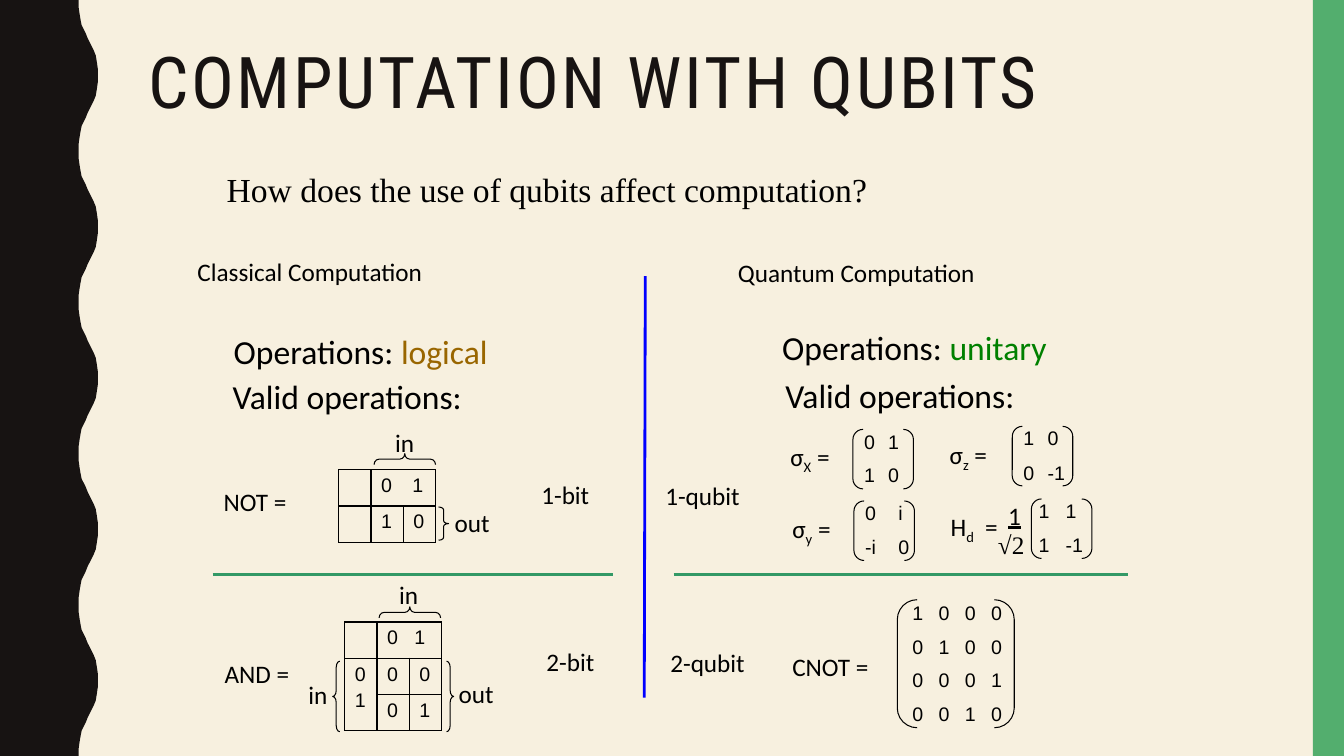
from dataclasses import dataclass

from lxml.etree import SubElement
from pptx import Presentation
from pptx.dml.color import RGBColor
from pptx.enum.shapes import MSO_CONNECTOR, MSO_SHAPE as Preset
from pptx.enum.text import MSO_AUTO_SIZE as AutoSize
from pptx.oxml.ns import qn
from pptx.oxml.xmlchemy import OxmlElement
from pptx.util import Pt

PX = 9144
WIDTH, HEIGHT = 1333, 750
CREAM = RGBColor(0xF7, 0xF0, 0xDF)
INK = RGBColor(0x17, 0x13, 0x12)
LEAF = RGBColor(0x53, 0xAE, 0x6E)
BLACK = RGBColor(0, 0, 0)
BROWN = RGBColor(0x99, 0x66, 0)
GREEN = RGBColor(0, 0x80, 0)
TEAL = RGBColor(0x33, 0x99, 0x66)
BLUE = RGBColor(0, 0, 0xFF)
SERIF = "Times New Roman"
WAVE_PERIOD = 150
WAVE_RISE = ((78, 0), (78, 7), (79, 14), (80, 20), (81, 25), (83, 29), (85, 33), (87, 38),
             (89, 42), (91, 46), (93, 50), (95, 55), (96, 61), (97, 68))


@dataclass(frozen=True)
class Piece:
    text: str
    color: RGBColor = BLACK
    baseline: int = 0
    spacing: float = 0
    underline: bool = False


@dataclass(frozen=True)
class Label:
    left: int
    top: int
    width: int
    height: int
    pieces: tuple[Piece, ...]
    size: int = 18
    font: str = "Calibri"


@dataclass(frozen=True)
class Grid:
    left: int
    top: int
    columns: tuple[int, ...]
    rows: tuple[int, ...]
    values: tuple[tuple[str, ...], ...]
    ruled: bool = False
    merges: tuple[tuple[int, int, int, int], ...] = ()
    tab: int = 0


@dataclass(frozen=True)
class Mark:
    preset: Preset
    left: int
    top: int
    width: int
    height: int
    bend: float
    rotation: int = 0


@dataclass(frozen=True)
class Rule:
    start: tuple[int, int]
    end: tuple[int, int]
    color: RGBColor


def plain(text: str, **style) -> tuple[Piece, ...]:
    """Return a text as a single piece."""
    return (Piece(text, **style),)


def symbol(letter: str, index: str, spacing: float = 0) -> tuple[Piece, ...]:
    """Return a letter with a subscript and an equals sign."""
    return Piece(letter), Piece(index, baseline=-25000), Piece(" =", spacing=spacing)


LABELS = (
    Label(215, 163, 656, 50, plain("How does the use of qubits affect computation?"), 24, SERIF),
    Label(186, 249, 250, 40, plain("Classical Computation")),
    Label(222, 323, 273, 50, (Piece("Operations: "), Piece("logical", BROWN)), 24),
    Label(221, 368, 248, 50, plain("Valid operations:"), 24),
    Label(212, 478, 96, 40, plain("NOT =")),
    Label(213, 648, 97, 40, plain("AND =")),
    Label(382, 419, 41, 40, plain("in")),
    Label(441, 498, 55, 40, plain("out")),
    Label(386, 570, 40, 40, plain("in")),
    Label(296, 669, 40, 40, plain("in")),
    Label(445, 668, 55, 40, plain("out")),
    Label(527, 471, 69, 40, plain("1-bit")),
    Label(532, 636, 69, 40, plain("2-bit")),
    Label(722, 250, 261, 40, plain("Quantum Computation")),
    Label(766, 319, 285, 51, (Piece("Operations: "), Piece("unitary", GREEN)), 24),
    Label(769, 367, 248, 51, plain("Valid operations:"), 24),
    Label(774, 433, 75, 40, symbol("σ", "X")),
    Label(776, 504, 72, 40, symbol("σ", "y")),
    Label(932, 431, 72, 40, symbol("σ", "z")),
    Label(933, 502, 76, 40, symbol("H", "d", spacing=4)),
    Label(980, 520, 46, 40, plain("√2"), font=SERIF),
    Label(990, 491, 34, 40, plain("1", underline=True)),
    Label(776, 641, 114, 40, plain("CNOT =")),
    Label(650, 472, 97, 40, plain("1-qubit")),
    Label(655, 637, 97, 40, plain("2-qubit")),
)

GRIDS = (
    Grid(336, 466, (32,) * 3, (36,) * 2, (("", "0\t1", ""), ("", "1", "0")),
         True, ((0, 1, 0, 2),), 31),
    Grid(342, 617, (32,) * 3, (36,) * 3, (("", "0\t1", ""), ("0\n1", "0", "0"), ("", "0", "1")),
         True, ((0, 1, 0, 2), (1, 0, 2, 0)), 27),
    Grid(847, 423, (23, 31), (33, 33), (("0", "1"), ("1", "0"))),
    Grid(848, 494, (33, 33), (33, 33), (("0", "i"), ("-i", "0"))),
    Grid(1005, 419, (23, 48), (35, 54), (("1", "0"), ("0", "-1"))),
    Grid(1020, 492, (27, 65), (33, 33), (("1", "1"), ("1", "-1"))),
    Grid(895, 593, (26, 26, 26, 31), (33,) * 4,
         tuple(tuple("1" if c == one else "0" for c in range(4)) for one in (0, 1, 3, 2))),
)

MARKS = (
    Mark(Preset.RIGHT_BRACE, 435, 503, 10, 33, 0.28),
    Mark(Preset.RIGHT_BRACE, 443, 656, 7, 70, 0.86),
    Mark(Preset.LEFT_BRACE, 330, 656, 7, 70, 0.86),
    Mark(Preset.RIGHT_BRACE, 396, 425, 11, 61, 0.45, 270),
    Mark(Preset.RIGHT_BRACE, 401, 577, 11, 61, 0.45, 270),
    *(Mark(Preset.DOUBLE_BRACKET, left, top, 60, 59, 0.17)
      for left, top in ((846, 426), (847, 497), (1004, 423), (1023, 495))),
    Mark(Preset.DOUBLE_BRACKET, 890, 595, 116, 127, 0.17),
)

RULES = (
    Rule((211, 570), (608, 570), TEAL),
    Rule((640, 274), (639, 692), BLUE),
    Rule((668, 570), (1119, 570), TEAL),
)


def write(paragraph, text: str, *, size: float, font: str, color: RGBColor = BLACK,
          baseline: int = 0, spacing: float = 0, underline: bool = False) -> None:
    """Append a formatted run to a paragraph."""
    run = paragraph.add_run()
    run.text = text
    run.font.size, run.font.name = Pt(size), font
    run.font.color.rgb = color
    if underline:
        run.font.underline = True
    for key, value in (("baseline", baseline), ("spc", int(spacing * 100))):
        if value:
            run.font._element.set(key, str(value))


def draw_label(slide, label: Label) -> None:
    """Draw one unwrapped line of text."""
    box = slide.shapes.add_textbox(*(v * PX for v in (label.left, label.top, label.width, label.height)))
    frame = box.text_frame
    frame.word_wrap, frame.auto_size = False, AutoSize.SHAPE_TO_FIT_TEXT
    for piece in label.pieces:
        write(frame.paragraphs[0], piece.text, size=label.size, font=label.font, color=piece.color,
              baseline=piece.baseline, spacing=piece.spacing, underline=piece.underline)


def set_borders(cell, ruled: bool) -> None:
    """Give a cell thin black borders, or none."""
    properties = cell._tc.get_or_add_tcPr()
    for position, side in enumerate("LRTB"):
        border = OxmlElement(f"a:ln{side}")
        border.set("w", str(Pt(1)))
        if ruled:
            SubElement(SubElement(border, qn("a:solidFill")), qn("a:srgbClr"), val=str(BLACK))
        else:
            SubElement(border, qn("a:noFill"))
        properties.insert(position, border)


def fill_cell(cell, text: str, tab: int) -> None:
    """Write the digits of a cell, one paragraph a line."""
    frame = cell.text_frame
    if not text:
        SubElement(frame.paragraphs[0]._p, qn("a:endParaRPr"), sz="1400")
        return
    for number, line in enumerate(text.split("\n")):
        paragraph = frame.add_paragraph() if number else frame.paragraphs[0]
        if number:
            paragraph.space_before = Pt(2.8)
        if "\t" in line:
            stops = SubElement(paragraph._p.get_or_add_pPr(), qn("a:tabLst"))
            SubElement(stops, qn("a:tab"), pos=str(tab * PX), algn="l")
        write(paragraph, line, size=14, font="Arial")


def draw_grid(slide, grid: Grid) -> None:
    """Draw a truth table or the entries of a matrix."""
    table = slide.shapes.add_table(len(grid.rows), len(grid.columns), grid.left * PX, grid.top * PX,
                                   sum(grid.columns) * PX, sum(grid.rows) * PX).table
    table.first_row = table.horz_banding = False
    for column, width in zip(table.columns, grid.columns):
        column.width = width * PX
    for row, height, values in zip(table.rows, grid.rows, grid.values):
        row.height = height * PX
        for cell, text in zip(row.cells, values):
            cell.fill.background()
            set_borders(cell, grid.ruled)
            fill_cell(cell, text, grid.tab)
    for top, left, bottom, right in grid.merges:
        table.cell(top, left).merge(table.cell(bottom, right))


def draw_mark(slide, mark: Mark) -> None:
    """Draw a brace or a pair of brackets."""
    shape = slide.shapes.add_shape(mark.preset, *(v * PX for v in (mark.left, mark.top, mark.width, mark.height)))
    shape.adjustments[0], shape.rotation = mark.bend, mark.rotation
    shape.shadow.inherit = False
    shape.fill.background()
    shape.line.color.rgb, shape.line.width = BLACK, Pt(0.75)


def draw_rule(slide, rule: Rule) -> None:
    """Draw a straight divider."""
    line = slide.shapes.add_connector(MSO_CONNECTOR.STRAIGHT, *(v * PX for v in rule.start + rule.end))
    line.line.color.rgb, line.line.width = rule.color, Pt(2)
    SubElement(line._element.spPr, qn("a:effectLst"))


def draw_frame(slide) -> None:
    """Draw the background, the wavy edge and the side bar."""
    slide.background.fill.solid()
    slide.background.fill.fore_color.rgb = CREAM
    fall = tuple((x, WAVE_PERIOD - y) for x, y in reversed(WAVE_RISE))
    period = WAVE_RISE + ((97, WAVE_PERIOD // 2),) + fall[:-1]
    crest = [(x, y + start) for start in range(0, HEIGHT, WAVE_PERIOD) for x, y in period]
    builder = slide.shapes.build_freeform(0, 0, scale=float(PX))
    builder.add_line_segments(crest + [(78, HEIGHT), (0, HEIGHT)], close=True)
    bar = slide.shapes.add_shape(Preset.RECTANGLE, 1302 * PX, 0, 31 * PX, HEIGHT * PX)
    for shape, color in ((builder.convert_to_shape(), INK), (bar, LEAF)):
        shape.shadow.inherit = False
        shape.fill.solid()
        shape.fill.fore_color.rgb = color
        shape.line.fill.background()


def draw_title(slide) -> None:
    """Draw the slide title."""
    frame = slide.shapes.add_textbox(137 * PX, 42 * PX, 1113 * PX, 163 * PX).text_frame
    frame.word_wrap = True
    frame.paragraphs[0].line_spacing = 0.9
    write(frame.paragraphs[0], "COMPUTATION WITH QUBITS", size=51, font="Roboto Condensed",
          color=INK, spacing=2)


def main() -> None:
    """Build the slide and save it."""
    deck = Presentation()
    deck.slide_width, deck.slide_height = WIDTH * PX, HEIGHT * PX
    slide = deck.slides.add_slide(deck.slide_layouts[6])
    draw_frame(slide)
    draw_title(slide)
    for draw, items in ((draw_grid, GRIDS), (draw_label, LABELS), (draw_mark, MARKS), (draw_rule, RULES)):
        for item in items:
            draw(slide, item)
    deck.save("out.pptx")


if __name__ == "__main__":
    main()
